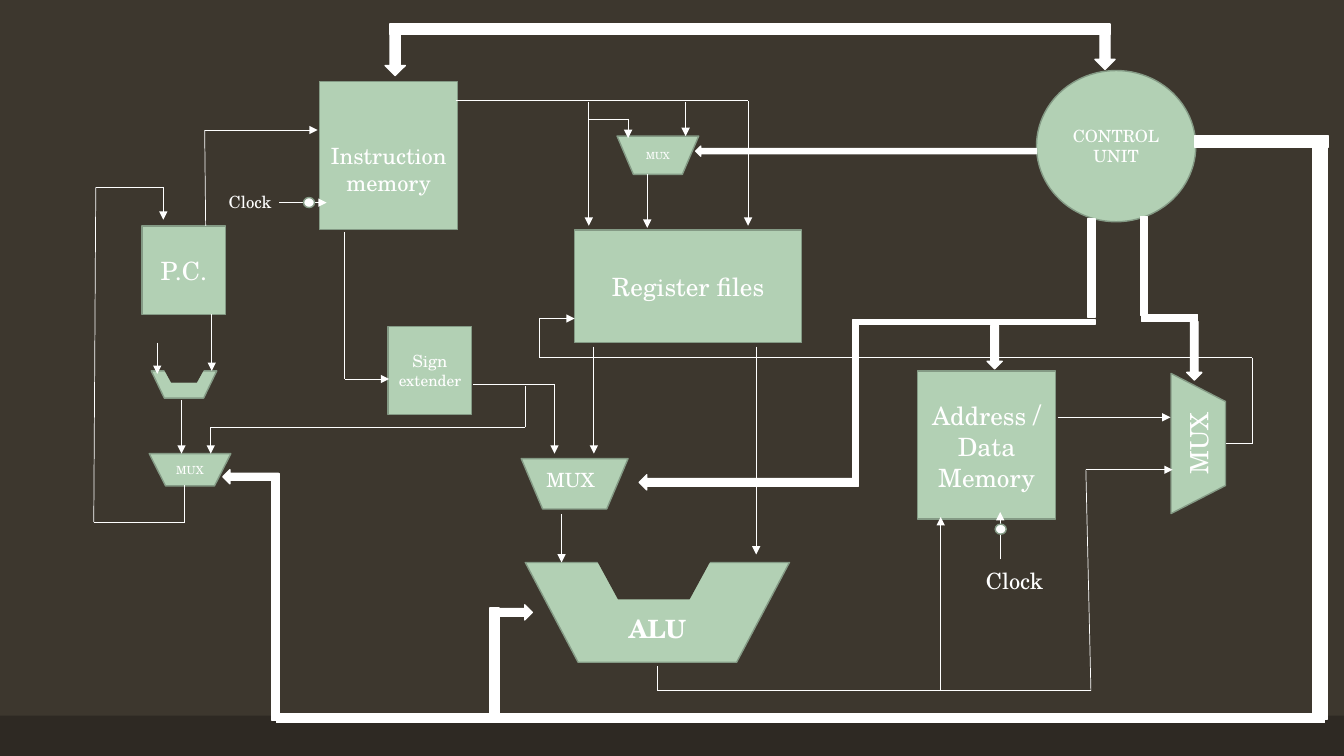
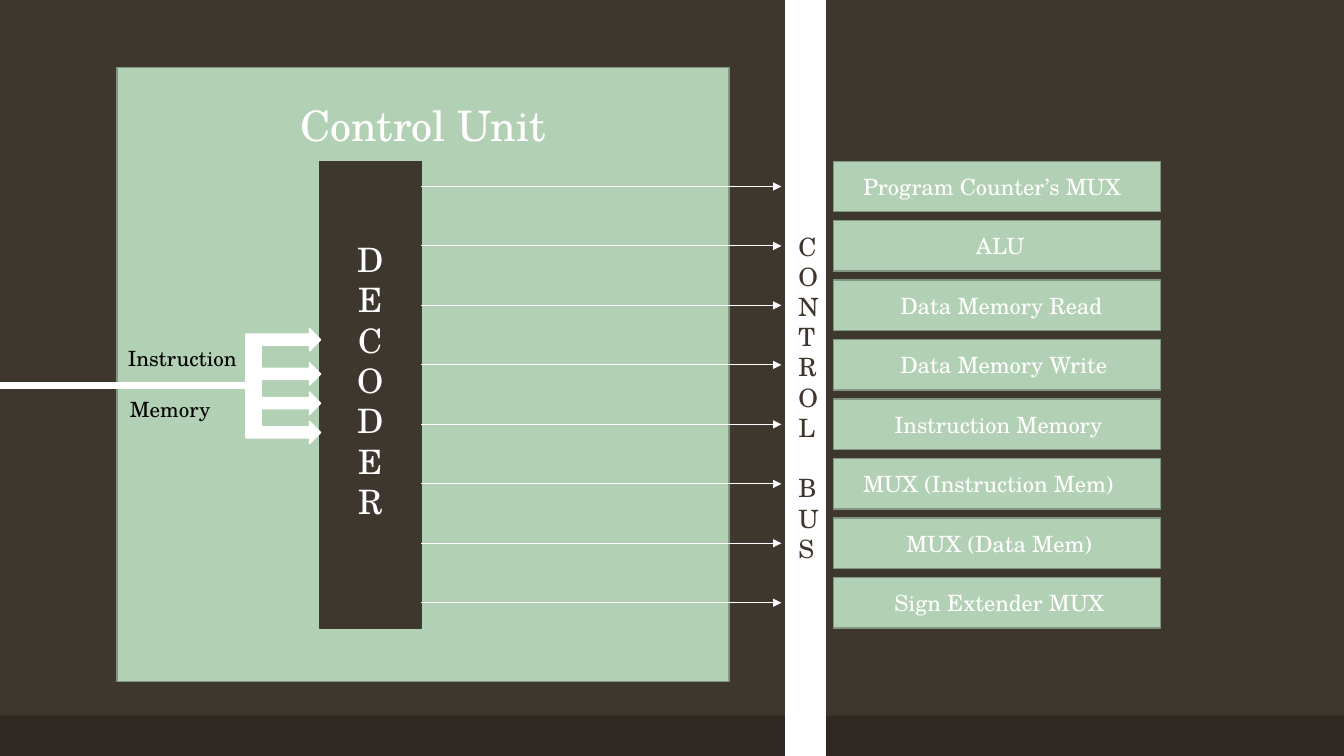
from lxml.etree import SubElement
from pptx import Presentation
from pptx.dml.color import RGBColor
from pptx.enum.shapes import MSO_CONNECTOR, MSO_SHAPE
from pptx.enum.text import MSO_ANCHOR, PP_ALIGN
from pptx.oxml.ns import qn
from pptx.util import Pt

PX = 9144
FONT = "TeX Gyre Schola"
COLORS = {
    "ground": "3D372E", "band": "2E2923", "block": "B2D0B4", "edge": "849A85",
    "label_edge": "819783", "white": "FFFFFF", "black": "000000",
}
RECT, OVAL = MSO_SHAPE.RECTANGLE, MSO_SHAPE.OVAL
MUX = MSO_SHAPE.FLOWCHART_MANUAL_OPERATION
DOWN, LEFT, RIGHT = MSO_SHAPE.DOWN_ARROW, MSO_SHAPE.LEFT_ARROW, MSO_SHAPE.RIGHT_ARROW
INSETS = {"left": 10, "top": 5, "right": 10, "bottom": 5}

BLOCKS = [
    (OVAL, (1028, 70, 158, 150), [[("CONTROL", 12)], [("UNIT", 12)]], {}),
    (RECT, (910, 368, 137, 147),
     [[("Address ", 18), ("/", 20)], [("Data", 18)], [("Memory", 18)]], {}),
    (RECT, (570, 228, 225, 112), [[("Register files", 18)]], {}),
    (RECT, (385, 324, 83, 87), [[("Sign", 12)], [("extender", 11)]], {}),
    (RECT, (317, 81, 137, 147), [[("Instruction memory", 16)]], {"top": 32}),
    (RECT, (141, 224, 83, 88), [[("P.C.", 18)]], {}),
    (MUX, (521, 558, 262, 99), [[("ALU", 18)]], {"top": 36, "bold": True}),
    (MUX, (148, 450, 81, 32), [[("MUX", 8)]], {"wrap": False}),
    (MUX, (1119, 413, 139, 54), [[("MUX", 18)]], {"rotation": 270}),
    (MUX, (612, 135, 81, 38), [[("MUX", 7)]], {"wrap": False}),
    (MUX, (517, 455, 106, 50), [], {}),
    (MUX, (150, 368, 65, 27), [], {}),
]
NOTCHES = [(162, 364, 41, 15), (590, 551, 117, 43)]
ROUTES = [
    [(642, 173), (642, 226)],
    [(557, 510), (557, 558)],
    [(180, 397), (180, 450)],
    [(1049, 414), (1161, 414)],
    [(210, 312), (210, 368)],
    [(156, 340), (156, 371)],
    [(183, 481), (183, 518), (93, 518), (95, 186), (162, 186), (162, 218)],
    [(204, 224), (203, 129), (315, 129)],
    [(933, 685), (933, 513)],
    [(469, 381), (550, 381), (550, 450)],
    [(521, 383), (521, 424), (209, 424), (209, 450)],
    [(342, 230), (342, 376), (386, 376)],
    [(589, 344), (589, 450)],
    [(277, 201), (324, 201)],
    [(992, 555), (992, 508)],
    [(750, 344), (750, 550)],
    [(452, 100), (742, 100), (742, 224)],
    [(584, 101), (584, 224)],
    [(680, 101), (680, 135)],
    [(584, 118), (623, 118), (623, 137)],
    [(652, 661), (652, 685), (1082, 685), (1077, 466), (1163, 466)],
    [(1216, 440), (1242, 440), (1242, 355), (535, 355), (535, 316), (570, 316)],
]
CLOCK_DOTS = [(301, 196, 11, 10), (987, 520, 11, 10)]
CONTROL_LINES = [
    (RECT, (387, 24, 714, 10)), (DOWN, (1086, 26, 20, 43)), (DOWN, (382, 32, 20, 43)),
    (LEFT, (690, 145, 338, 10)), (DOWN, (1177, 319, 15, 58)),
    (RECT, (1131, 215, 7, 98)), (RECT, (1132, 312, 56, 7)),
    (RECT, (1079, 217, 7, 98)), (RECT, (850, 317, 236, 5)),
    (RECT, (846, 317, 5, 166)), (LEFT, (634, 471, 217, 15)),
    (DOWN, (979, 323, 15, 43)), (RECT, (1185, 135, 133, 11)),
    (RECT, (1302, 141, 14, 573)), (RECT, (274, 708, 1040, 9)),
    (RECT, (270, 470, 7, 245)), (LEFT, (221, 466, 55, 14)),
    (RECT, (486, 603, 9, 105)), (RIGHT, (486, 600, 42, 15)),
]
CAPTIONS = [
    ((528, 459, 76, 34), "MUX", 14, PP_ALIGN.CENTER),
    ((968, 558, 81, 37), "Clock", 16, PP_ALIGN.LEFT),
    ((217, 185, 69, 30), "Clock", 12, PP_ALIGN.LEFT),
]

TARGETS = [
    ("Program Counter’s MUX", 19), ("ALU", 131), ("Data Memory Read", 56),
    ("Data Memory Write", 56), ("Instruction Memory", 50),
    ("MUX (Instruction Mem)", 19), ("MUX (Data Mem)", 62), ("Sign Extender MUX", 50),
]
TARGET_TOP, TARGET_HEIGHT, TARGET_PITCH = 160, 50, 59
FORK_TOPS = [326, 360, 389, 418]
INPUT_WORDS = [((117, 333, 234, 50), "Instruction"), ((119, 383, 234, 50), "Memory")]


def color(name):
    return RGBColor.from_string(COLORS[name])


def scaled(lengths):
    return [length * PX for length in lengths]


def write(shape, paragraphs, ink="white", align=PP_ALIGN.CENTER,
          anchor=MSO_ANCHOR.MIDDLE, bold=False, wrap=True, **insets):
    frame = shape.text_frame
    frame_format = {"word_wrap": wrap, "vertical_anchor": anchor}
    for side, inset in {**INSETS, **insets}.items():
        frame_format[f"margin_{side}"] = inset * PX
    for name, value in frame_format.items():
        setattr(frame, name, value)
    for number, spans in enumerate(paragraphs):
        para = frame.add_paragraph() if number else frame.paragraphs[0]
        para.alignment = align
        for text, size in spans:
            span = para.add_run()
            span.text = text
            for name, value in {"name": FONT, "size": Pt(size), "bold": bold}.items():
                setattr(span.font, name, value)
            span.font.color.rgb = color(ink)


def add_block(page, kind, place, fill="block", edge="edge", rotation=0):
    shape = page.shapes.add_shape(kind, *scaled(place))
    shape.shadow.inherit = False
    shape.rotation = rotation
    shape.fill.solid()
    shape.fill.fore_color.rgb = color(fill)
    if edge:
        shape.line.color.rgb = color(edge)
        shape.line.width = Pt(1)
    else:
        shape.line.fill.background()
    return shape


def add_solid(page, kind, place, fill="white"):
    return add_block(page, kind, place, fill, fill)


def add_route(page, points, width):
    for start, end in zip(points, points[1:]):
        wire = page.shapes.add_connector(MSO_CONNECTOR.STRAIGHT, *scaled(start + end))
        wire.line.color.rgb = color("white")
        wire.line.width = Pt(width)
        if end == points[-1]:
            SubElement(wire.line._get_or_add_ln(), qn("a:tailEnd"), type="triangle")
        SubElement(wire._element.spPr, qn("a:effectLst"))


def add_caption(page, place, paragraphs, **text_format):
    box = page.shapes.add_textbox(*scaled(place))
    write(box, paragraphs, anchor=MSO_ANCHOR.TOP, **text_format)
    return box


def add_letters(page, place, letters, size, **text_format):
    paragraphs = [[(letter, size)] for letter in letters]
    return add_caption(page, place, paragraphs, top=10, **text_format)


def add_page(deck):
    page = deck.slides.add_slide(deck.slide_layouts[6])
    add_block(page, RECT, (0, 710, 1333, 40), "band", None)
    return page


def build_datapath(deck):
    page = add_page(deck)
    for kind, place, paragraphs, options in BLOCKS:
        text_format = dict(options)
        block = add_block(page, kind, place, rotation=text_format.pop("rotation", 0))
        write(block, paragraphs, **text_format)
    for place in NOTCHES:
        add_solid(page, MUX, place, "ground")
    for points in ROUTES:
        add_route(page, points, 0.5)
    for place in CLOCK_DOTS:
        add_block(page, OVAL, place, "white")
    for kind, place in CONTROL_LINES:
        add_solid(page, kind, place)
    for place, text, size, align in CAPTIONS:
        add_caption(page, place, [[(text, size)]], align=align)


def build_control_unit(deck):
    page = add_page(deck)
    unit = add_block(page, RECT, (116, 67, 607, 609), edge="label_edge")
    write(unit, [[("Control Unit", 30)]], anchor=MSO_ANCHOR.TOP, top=32)
    add_solid(page, RECT, (-6, 380, 249, 5))
    add_solid(page, RECT, (779, 0, 40, 750))
    add_solid(page, RECT, (317, 160, 101, 463), "ground")
    for number, (text, indent) in enumerate(TARGETS):
        top = TARGET_TOP + number * TARGET_PITCH
        middle = top + TARGET_HEIGHT // 2
        target = add_block(page, RECT, (827, top, 324, TARGET_HEIGHT), edge="label_edge")
        write(target, [[(text, 16)]], align=PP_ALIGN.LEFT, left=10 + indent)
        add_route(page, [(418, middle), (775, middle)], 0.75)
    add_solid(page, RECT, (244, 332, 15, 102))
    for top in FORK_TOPS:
        add_solid(page, RIGHT, (244, top, 74, 22))
    for place, text in INPUT_WORDS:
        add_caption(page, place, [[(text, 15)]], ink="black", align=PP_ALIGN.LEFT, top=10)
    add_letters(page, (152, 227, 432, 50), "DECODER", 24)
    bus = add_letters(page, (782, 219, 172, 50), "CONTROLBUS", 18,
                      ink="ground", align=PP_ALIGN.LEFT)
    bus.text_frame.paragraphs[len("CONTROL")].space_before = Pt(21.6)


def main():
    deck = Presentation()
    deck.slide_width, deck.slide_height = scaled((1333, 750))
    ground = deck.slide_master.background.fill
    ground.solid()
    ground.fore_color.rgb = color("ground")
    build_datapath(deck)
    build_control_unit(deck)
    deck.save("out.pptx")


if __name__ == "__main__":
    main()
